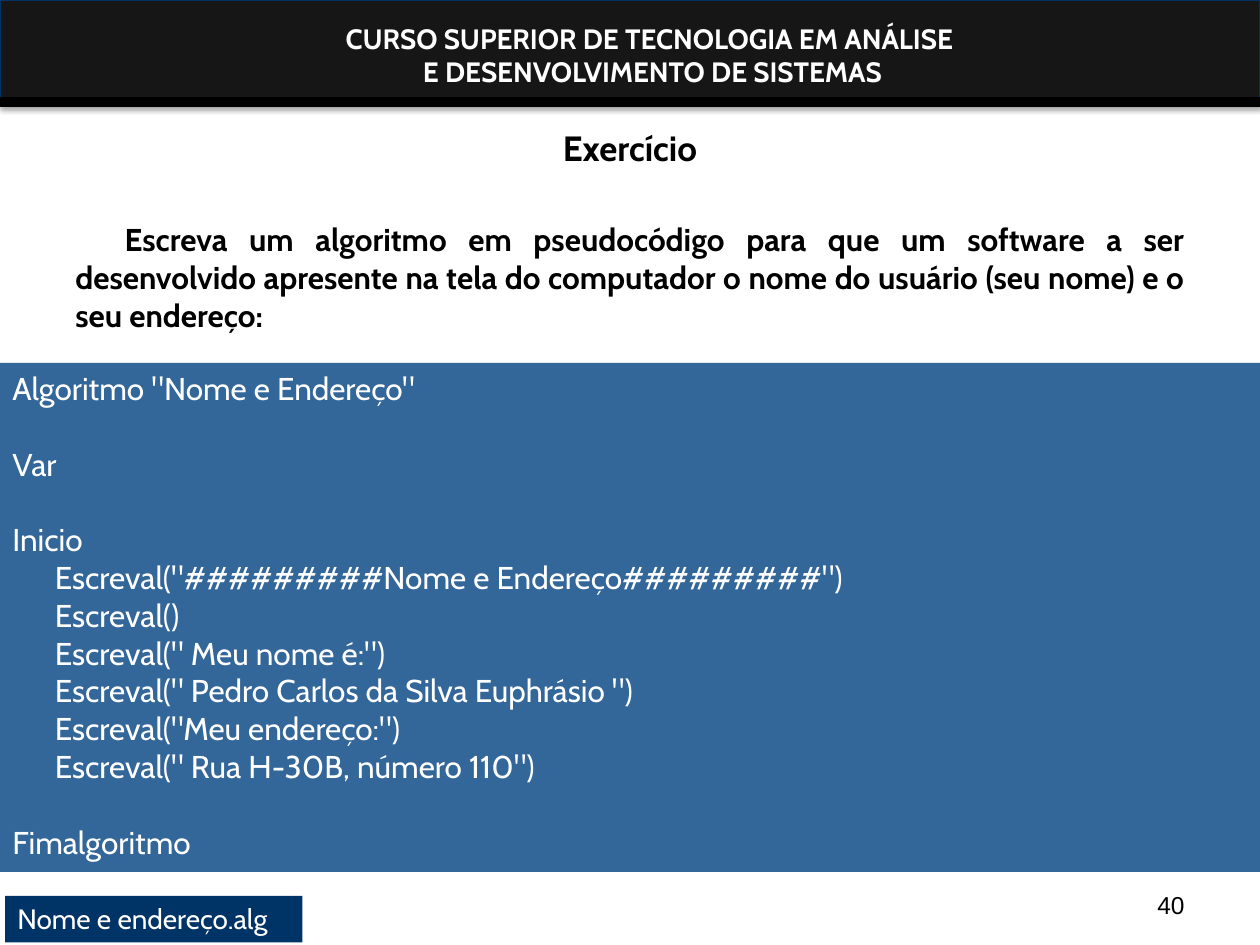
from lxml import etree
from pptx import Presentation
from pptx.dml.color import RGBColor
from pptx.enum.shapes import MSO_CONNECTOR as Connector, MSO_SHAPE as Shape
from pptx.enum.text import MSO_ANCHOR as Anchor, PP_ALIGN as Align
from pptx.oxml import parse_xml
from pptx.oxml.ns import nsdecls, qn
from pptx.util import Inches, Pt

COLORS = {
    "white": "FFFFFF",
    "black": "000000",
    "header": "161616",
    "header_border": "003264",
    "label": "003366",
    "code": "336699",
}
CODE_LINE_HEIGHT = 21.6
CODE_BLOCKS = [
    ['Algoritmo "Nome e Endereço"'],
    ["Var"],
    [
        "Inicio",
        '      Escreval("#########Nome e Endereço#########")',
        "      Escreval()",
        '      Escreval(" Meu nome é:")',
        '      Escreval(" Pedro Carlos da Silva Euphrásio ")',
        '      Escreval("Meu endereço:")',
        '      Escreval(" Rua H-30B, número 110")',
    ],
    ["Fimalgoritmo"],
]


def color(name):
    return RGBColor.from_string(COLORS[name])


class SlideBuilder:
    def __init__(self, slide, font="Cabin"):
        self.slide = slide
        self.font = font

    def rectangle(self, left, top, width, height, fill, border=None):
        shape = self.slide.shapes.add_shape(
            Shape.RECTANGLE, Inches(left), Inches(top), Inches(width), Inches(height))
        shape.shadow.inherit = False
        shape.fill.solid()
        shape.fill.fore_color.rgb = color(fill)
        if border:
            shape.line.color.rgb = color(border)
            shape.line.width = Pt(0.75)
        else:
            shape.line.fill.background()
        return shape

    def drop_shadow(self, shape):
        effects = shape._element.spPr.find(qn("a:effectLst"))
        effects.append(parse_xml(
            f'<a:outerShdw {nsdecls("a")} blurRad="{Pt(3.1)}" dist="{Pt(1.8)}" '
            f'dir="5400000" rotWithShape="0"><a:srgbClr val="{COLORS["black"]}">'
            '<a:alpha val="35000"/></a:srgbClr></a:outerShdw>'))

    def line(self, x1, y1, x2, y2, line_color, width):
        connector = self.slide.shapes.add_connector(
            Connector.STRAIGHT, Inches(x1), Inches(y1), Inches(x2), Inches(y2))
        connector.line.color.rgb = color(line_color)
        connector.line.width = Pt(width)
        etree.SubElement(connector._element.spPr, qn("a:effectLst"))

    def fill_text(self, shape, lines, size, text_color="white", align=Align.LEFT,
                  anchor=Anchor.TOP, bold=False, font=None):
        """Fill a shape with one paragraph per line and return the paragraphs."""
        frame = shape.text_frame
        frame.word_wrap = True
        frame.vertical_anchor = anchor
        frame.text = "\n".join(lines)
        for paragraph in frame.paragraphs:
            paragraph.alignment = align
            paragraph.font.name = font or self.font
            paragraph.font.size = Pt(size)
            paragraph.font.bold = bold
            paragraph.font.color.rgb = color(text_color)
        return frame.paragraphs

    def text(self, left, top, width, height, lines, size, **style):
        box = self.slide.shapes.add_textbox(
            Inches(left), Inches(top), Inches(width), Inches(height))
        return self.fill_text(box, lines, size, **style)

    def code(self, shape, blocks, size):
        """Fill a shape with code blocks, leaving a gap of one line between them."""
        paragraphs = self.fill_text(shape, [line for block in blocks for line in block], size)
        start = 0
        for block in blocks[:-1]:
            start += len(block)
            paragraphs[start].space_before = Pt(CODE_LINE_HEIGHT)


def main():
    presentation = Presentation()
    presentation.slide_width = Inches(10)
    presentation.slide_height = Inches(7.5)
    builder = SlideBuilder(presentation.slides.add_slide(presentation.slide_layouts[6]))

    header = builder.rectangle(0, 0, 10, 0.84, "header", "header_border")
    builder.drop_shadow(header)
    builder.text(1.3, 0.12, 7.76, 0.64,
                 ["CURSO SUPERIOR DE TECNOLOGIA EM ANÁLISE ", "E DESENVOLVIMENTO DE SISTEMAS"],
                 16, align=Align.CENTER, bold=True)
    builder.line(0, 0.81, 10, 0.81, "black", 6)

    builder.text(0.5, 0.42, 9, 1.5, ["Exercício"], 20, text_color="black",
                 align=Align.CENTER, anchor=Anchor.MIDDLE, bold=True)
    statement = builder.text(
        0.5, 1.7, 9, 1.1,
        ["Escreva um algoritmo em pseudocódigo para que um software a ser desenvolvido "
         "apresente na tela do computador o nome do usuário (seu nome) e o seu endereço:"],
        18, text_color="black", align=Align.JUSTIFY, bold=True)[0]
    statement._p.get_or_add_pPr().set("indent", str(Inches(0.39)))

    builder.text(7.17, 6.83, 2.33, 0.52, ["40"], 14, text_color="black",
                 align=Align.RIGHT, anchor=Anchor.BOTTOM, font="Arial")
    label = builder.rectangle(0.04, 7.11, 2.36, 0.37, "label")
    builder.fill_text(label, ["Nome e endereço.alg"], 16)
    builder.code(builder.rectangle(0, 2.88, 10, 4.04, "code"), CODE_BLOCKS, 18)

    presentation.save("out.pptx")


if __name__ == "__main__":
    main()
